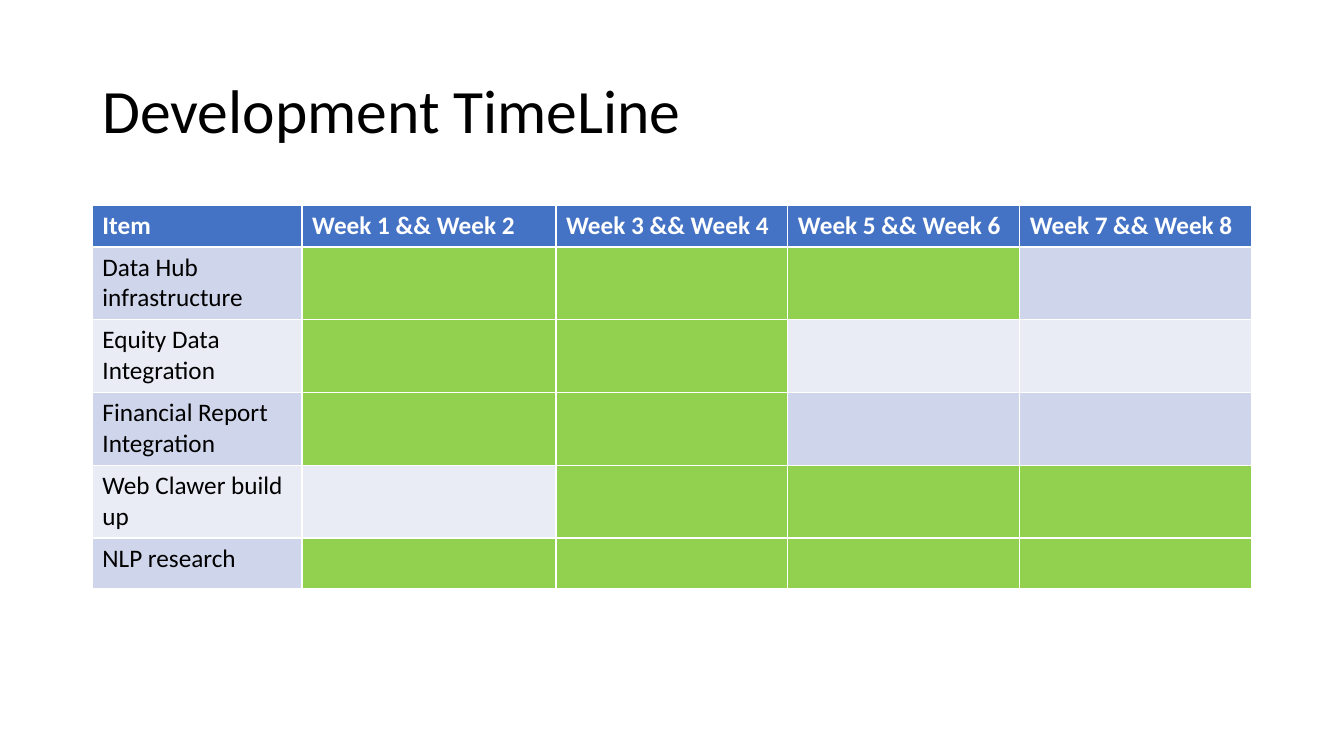
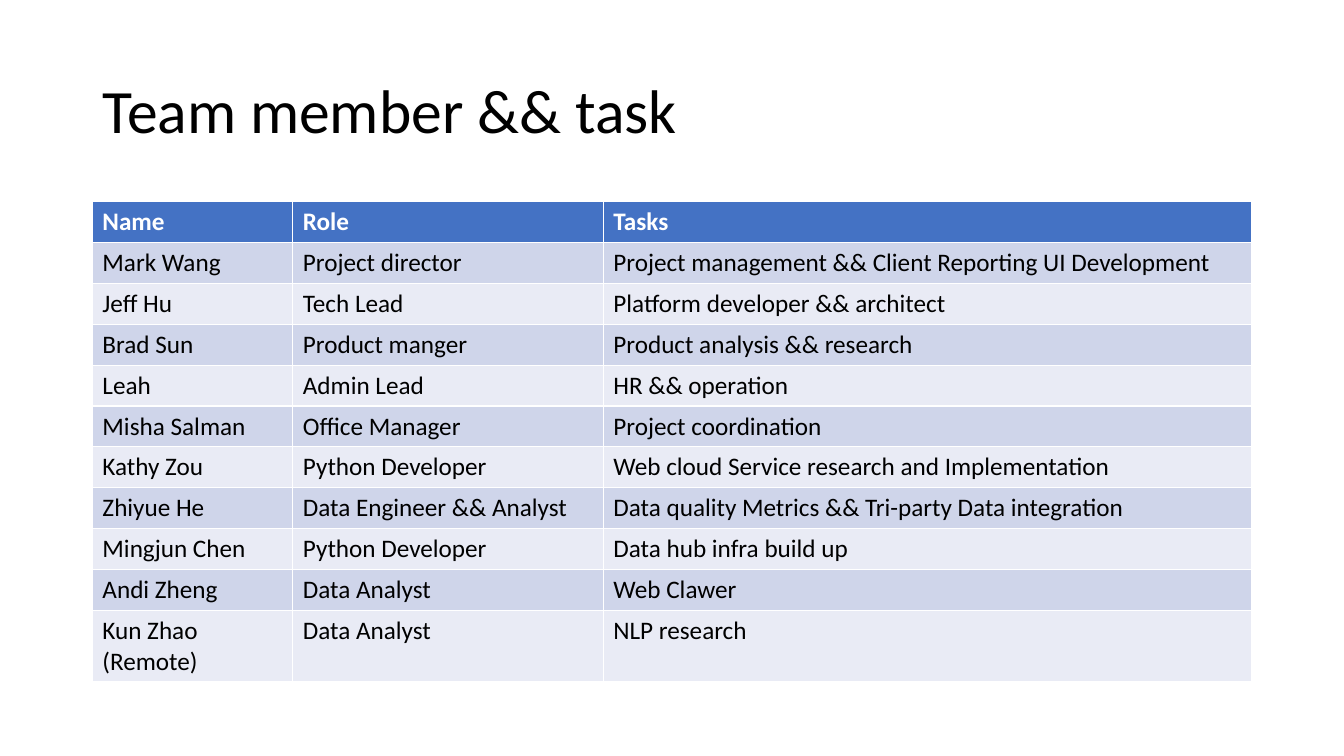
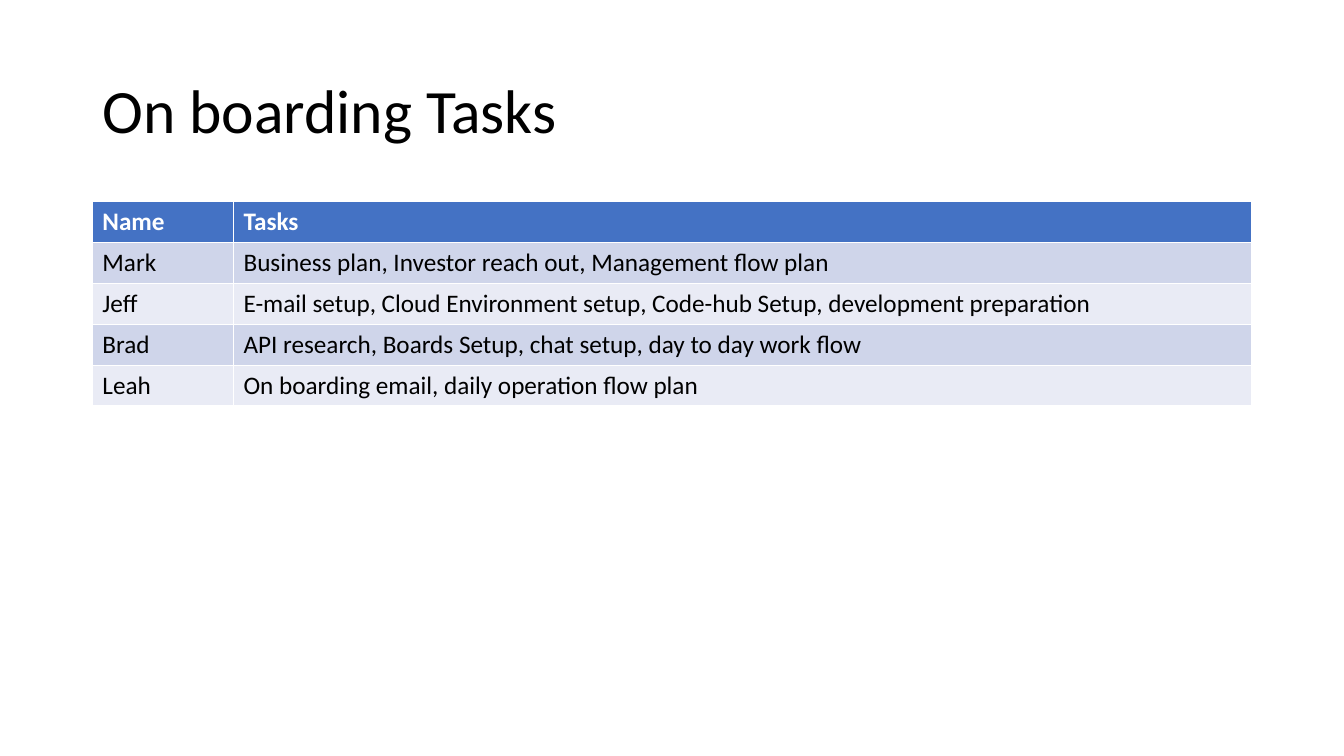
from pptx import Presentation
from pptx.dml.color import RGBColor
from pptx.enum.text import MSO_ANCHOR, MSO_AUTO_SIZE, PP_ALIGN
from pptx.util import Pt

# Shared look
FONT = "Calibri"
BLACK = RGBColor(0x00, 0x00, 0x00)
WHITE = RGBColor(0xFF, 0xFF, 0xFF)
HEADER_BLUE = RGBColor(0x44, 0x72, 0xC4)
BAND_DARK = RGBColor(0xCF, 0xD5, 0xEA)
BAND_LIGHT = RGBColor(0xE9, 0xEB, 0xF5)
BUSY_GREEN = RGBColor(0x92, 0xD0, 0x50)

LEFT, WIDTH = 66, 828
TITLE_TOP, TITLE_HEIGHT = 28.75, 104.4
TABLE_TOP, ROW_HEIGHT = 144, 29.2

# Timeline: item and the two-week periods in which it is worked on
PERIODS = [f"Week {week} && Week {week + 1}" for week in range(1, 8, 2)]
TIMELINE = [
    ("Data Hub infrastructure", {1, 2, 3}),
    ("Equity Data Integration", {1, 2}),
    ("Financial Report Integration", {1, 2}),
    ("Web Clawer build up", {2, 3, 4}),
    ("NLP research", {1, 2, 3, 4}),
]

TEAM = [
    ("Name", "Role", "Tasks"),
    ("Mark Wang", "Project director",
     "Project management && Client Reporting UI Development"),
    ("Jeff Hu", "Tech Lead", "Platform developer && architect"),
    ("Brad Sun", "Product manger", "Product analysis && research"),
    ("Leah", "Admin Lead", "HR && operation"),
    ("Misha Salman", "Office Manager", "Project coordination"),
    ("Kathy Zou", "Python Developer",
     "Web cloud Service research and Implementation"),
    ("Zhiyue He", "Data Engineer && Analyst",
     "Data quality Metrics && Tri-party Data integration"),
    ("Mingjun Chen", "Python Developer", "Data hub infra build up"),
    ("Andi Zheng", "Data Analyst", "Web Clawer"),
    ("Kun Zhao (Remote)", "Data Analyst", "NLP research"),
]

ONBOARDING = [
    ("Name", "Tasks"),
    ("Mark", "Business plan, Investor reach out, Management flow plan"),
    ("Jeff", "E-mail setup, Cloud Environment setup, Code-hub Setup, "
             "development preparation"),
    ("Brad", "API research, Boards Setup, chat setup, day to day work flow"),
    ("Leah", "On boarding email, daily operation flow plan"),
]


def format_runs(para, size, color, bold=False):
    for run in para.runs:
        run.font.name = FONT
        run.font.size = Pt(size)
        run.font.bold = bold
        run.font.color.rgb = color


def fill_cell(cell, color):
    cell.fill.solid()
    cell.fill.fore_color.rgb = color


def add_titled_slide(deck, text):
    page = deck.slides.add_slide(deck.slide_layouts[5])
    title = page.shapes.title
    title.left, title.top = Pt(LEFT), Pt(TITLE_TOP)
    title.width, title.height = Pt(WIDTH), Pt(TITLE_HEIGHT)
    frame = title.text_frame
    frame.text = text
    frame.auto_size = MSO_AUTO_SIZE.NONE
    frame.vertical_anchor = MSO_ANCHOR.MIDDLE
    para = frame.paragraphs[0]
    para.alignment = PP_ALIGN.LEFT
    para.line_spacing = 0.9
    format_runs(para, 44, BLACK)
    return page


def add_banded_table(page, rows, column_widths, row_heights, top=TABLE_TOP):
    """Header row plus alternating bands; white rules come from the table style."""
    table = page.shapes.add_table(
        len(rows), len(column_widths),
        Pt(LEFT), Pt(top), Pt(WIDTH), Pt(sum(row_heights))).table
    for column, width in zip(table.columns, column_widths):
        column.width = Pt(width)
    for row, height in zip(table.rows, row_heights):
        row.height = Pt(height)
    for row_index, texts in enumerate(rows):
        is_header = row_index == 0
        band = BAND_DARK if row_index % 2 else BAND_LIGHT
        for column_index, text in enumerate(texts):
            cell = table.cell(row_index, column_index)
            fill_cell(cell, HEADER_BLUE if is_header else band)
            if text:
                cell.text_frame.text = text
                format_runs(cell.text_frame.paragraphs[0], 18,
                            WHITE if is_header else BLACK, is_header)
    return table


def add_timeline(page):
    rows = [["Item", *PERIODS]]
    rows += [[item] + [""] * len(PERIODS) for item, _ in TIMELINE]
    table = add_banded_table(page, rows, [149.8, 181.4, 165.6, 165.6, 165.6],
                             [30, 52, 52, 52, 52, 36], top=146.4)
    for row_index, (_, busy_periods) in enumerate(TIMELINE, start=1):
        for period in busy_periods:
            fill_cell(table.cell(row_index, period), BUSY_GREEN)


def main():
    deck = Presentation()
    deck.slide_width, deck.slide_height = Pt(960), Pt(540)

    # Timeline
    add_timeline(add_titled_slide(deck, "Development TimeLine"))

    # Team
    page = add_titled_slide(deck, "Team member && task")
    add_banded_table(page, TEAM, [143.2, 221.8, 463], [ROW_HEIGHT] * len(TEAM))

    # Onboarding
    page = add_titled_slide(deck, "On boarding Tasks")
    add_banded_table(page, ONBOARDING, [100.8, 727.2],
                     [ROW_HEIGHT] * len(ONBOARDING))

    deck.save("out.pptx")


if __name__ == "__main__":
    main()
